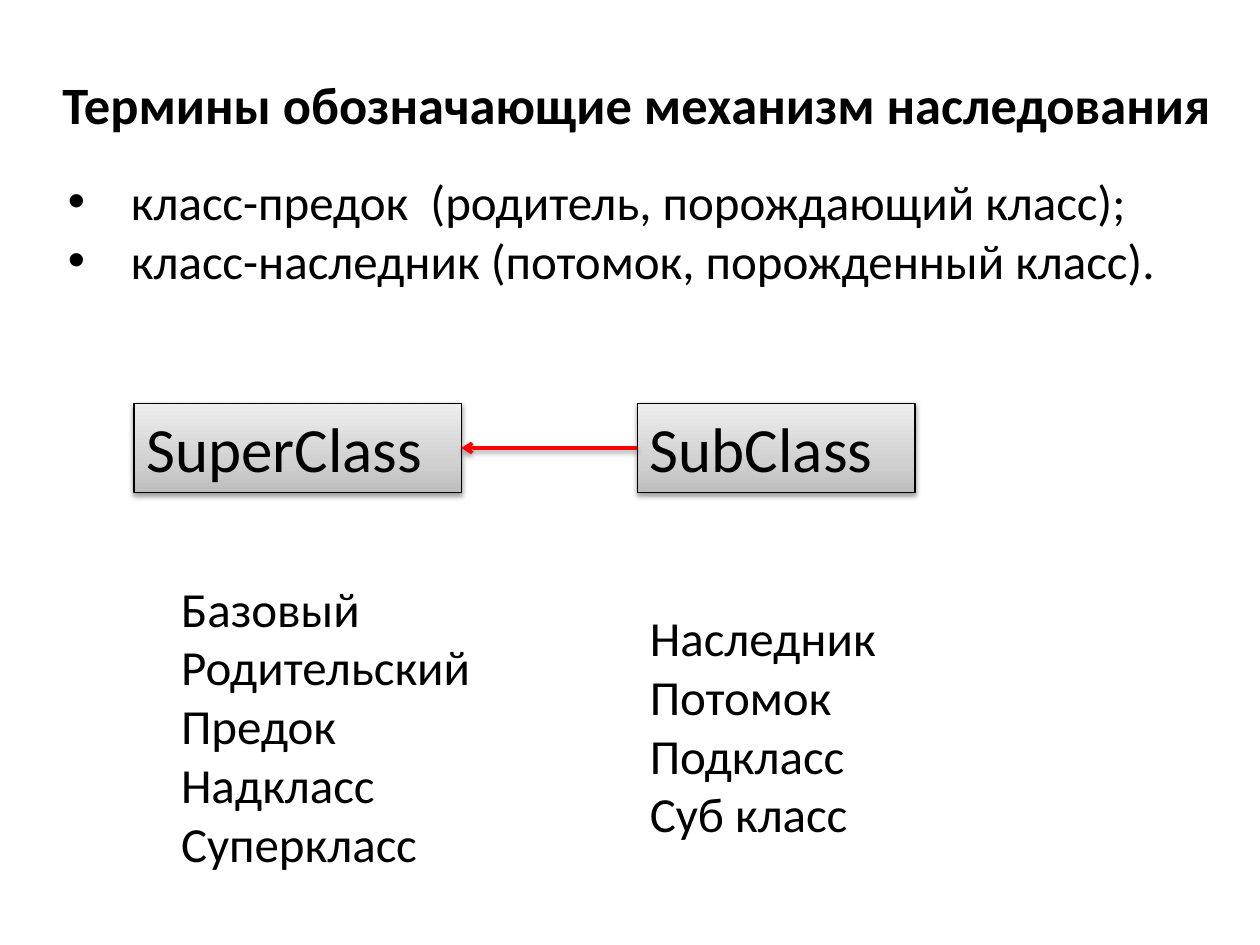
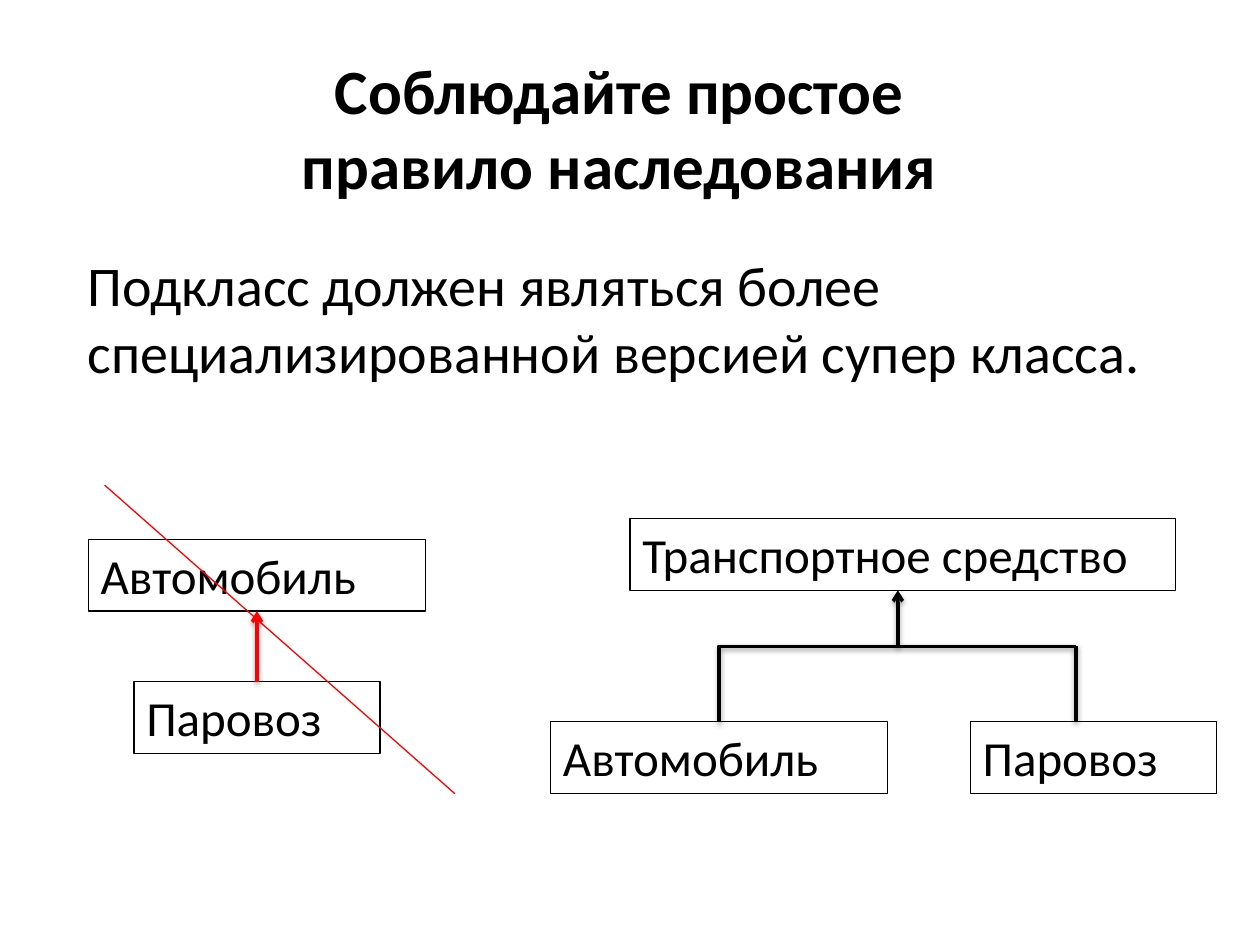
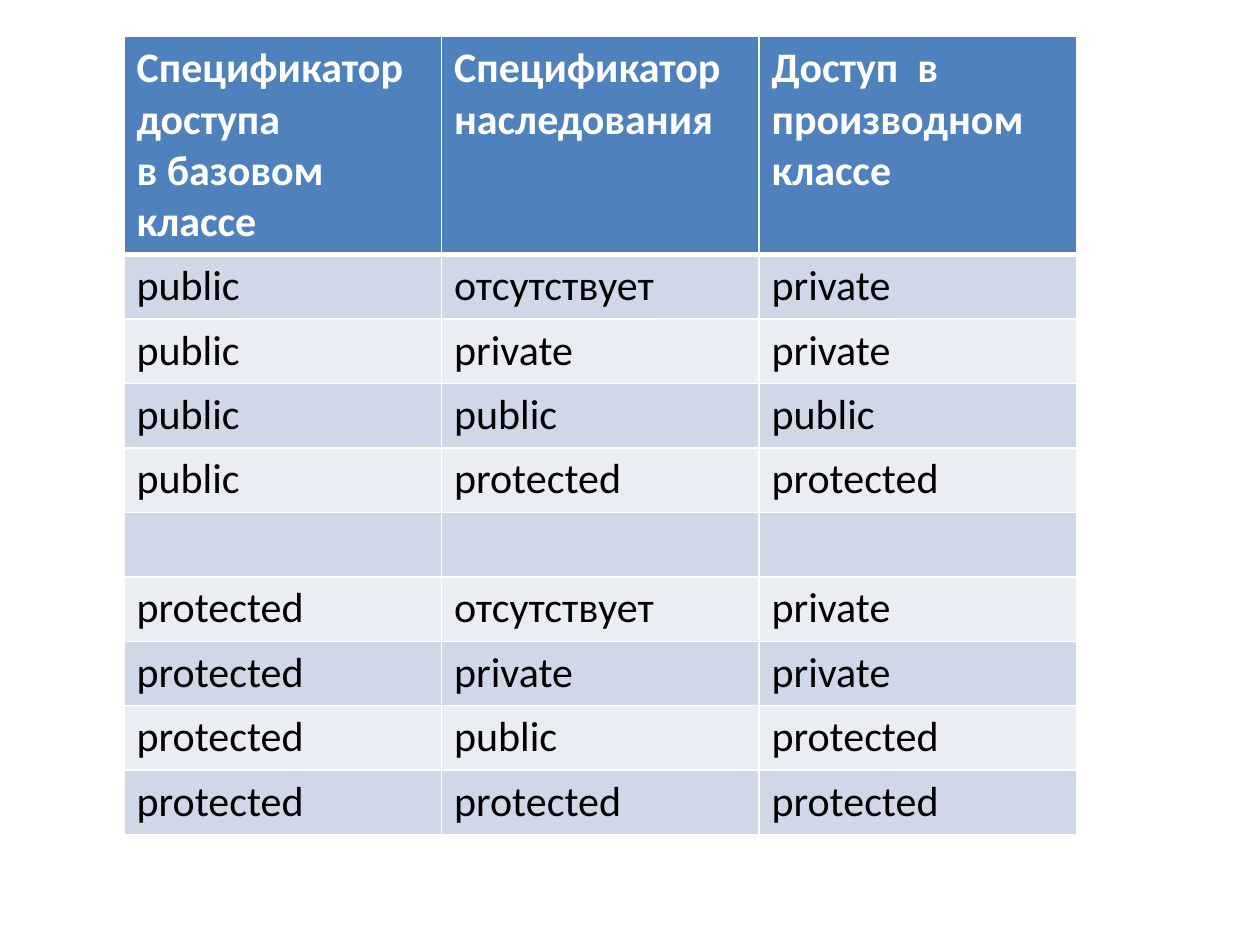
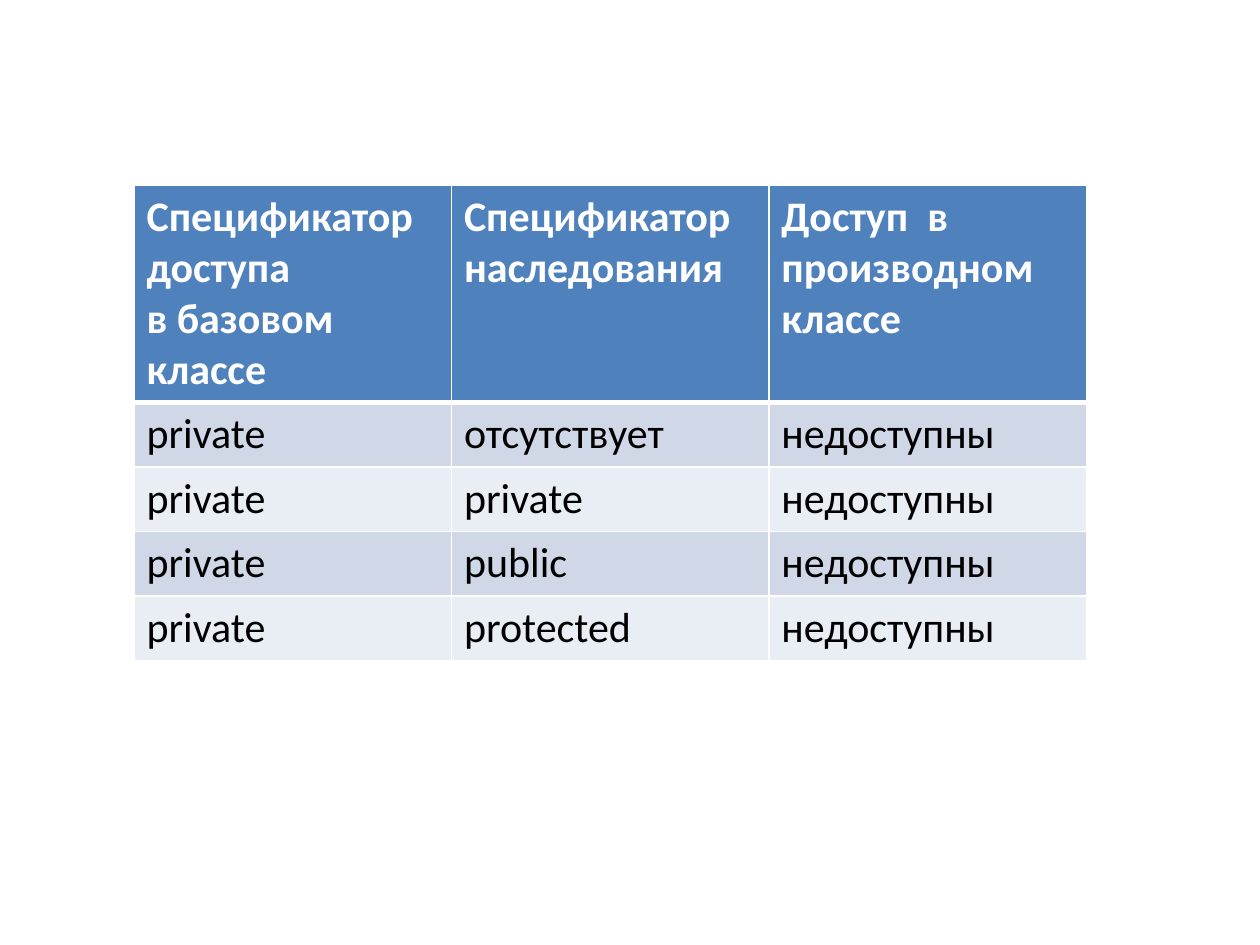
from copy import deepcopy

from lxml import etree
from pptx import Presentation
from pptx.dml.color import RGBColor
from pptx.enum.shapes import MSO_CONNECTOR, MSO_SHAPE
from pptx.enum.text import MSO_ANCHOR, MSO_AUTO_SIZE, PP_ALIGN
from pptx.oxml.ns import qn
from pptx.util import Cm, Pt

RECT = MSO_SHAPE.RECTANGLE
STRAIGHT, ELBOW = MSO_CONNECTOR.STRAIGHT, MSO_CONNECTOR.ELBOW
LEFT, CENTER = PP_ALIGN.LEFT, PP_ALIGN.CENTER
TOP = MSO_ANCHOR.TOP
GROW = MSO_AUTO_SIZE.SHAPE_TO_FIT_TEXT

FONT = "Calibri"
BLACK, WHITE, RED = "000000", "FFFFFF", "FF0000"
HEADER, BANDS = "4F81BD", ("D0D8E8", "E9EDF4")
GREY_STOPS = ((0, "BDBDBD"), (0.35, "D1D1D1"), (1, "EEEEEE"))
TOP_SIDE, LEFT_SIDE, BOTTOM_SIDE, RIGHT_SIDE = range(4)

ACCESS_HEADER = (
    "Спецификатор\nдоступа\nв базовом классе",
    "Спецификатор\nнаследования",
    "Доступ  в\nпроизводном классе",
)
OPEN_ACCESS = (
    ("public", "отсутствует", "private"),
    ("public", "private", "private"),
    ("public", "public", "public"),
    ("public", "protected", "protected"),
    ("", "", ""),
    ("protected", "отсутствует", "private"),
    ("protected", "private", "private"),
    ("protected", "public", "protected"),
    ("protected", "protected", "protected"),
)
CLOSED_ACCESS = [
    ("private", spec, "недоступны")
    for spec in ("отсутствует", "private", "public", "protected")
]


def rgb(color):
    """Turn a hex string into a colour."""
    return RGBColor.from_string(color)


def add_xml(parent, tag, **attrs):
    """Append a child element with the given attributes."""
    return etree.SubElement(parent, qn(tag), {k: str(v) for k, v in attrs.items()})


class Deck:
    """Holds the shared style and the current slide."""

    def __init__(self):
        """Start an empty 4:3 presentation."""
        self.prs = Presentation()
        self.prs.slide_width, self.prs.slide_height = Cm(25.4), Cm(19.05)
        self.s = None

    def slide(self):
        """Start a new blank slide."""
        self.s = self.prs.slides.add_slide(self.prs.slide_layouts[6])

    def format(self, tf, size, color=BLACK, bold=False, align=LEFT):
        """Style every paragraph of a text frame."""
        for p in tf.paragraphs:
            p.alignment = align
            for r in p.runs:
                r.font.name, r.font.size, r.font.bold = FONT, Pt(size), bold
                r.font.color.rgb = rgb(color)

    def fill_frame(self, sp, text, size, **style):
        """Put wrapped, top-anchored text into a shape that grows with it."""
        tf = sp.text_frame
        tf.text = text
        tf.word_wrap, tf.auto_size, tf.vertical_anchor = True, GROW, TOP
        self.format(tf, size, **style)
        return tf

    def text(self, x, y, w, h, text, size=28, **style):
        """Add a text box."""
        sp = self.s.shapes.add_textbox(Cm(x), Cm(y), Cm(w), Cm(h))
        return self.fill_frame(sp, text, size, **style)

    def title(self, x, y, w, h, text, size):
        """Add a bold centred title."""
        self.text(x, y, w, h, text, size, bold=True, align=CENTER)

    def bullets(self, x, y, w, h, text):
        """Add a bulleted list."""
        for p in self.text(x, y, w, h, text).paragraphs:
            pPr = p._p.get_or_add_pPr()
            pPr.set("marL", str(Cm(1.27)))
            pPr.set("indent", str(-Cm(1.27)))
            add_xml(pPr, "a:buFont", typeface="Arial")
            add_xml(pPr, "a:buChar", char="•")

    def shadow(self, spPr):
        """Give an effect list a soft shadow that falls down."""
        effects = spPr.find(qn("a:effectLst"))
        if effects is None:
            effects = add_xml(spPr, "a:effectLst")
        outer = add_xml(effects, "a:outerShdw", blurRad=Pt(3.1), dist=Pt(1.6),
                        dir=5400000, rotWithShape=0)
        add_xml(add_xml(outer, "a:srgbClr", val=BLACK), "a:alpha", val=38000)

    def box(self, x, y, w, h, text, size=28, raised=False):
        """Add an outlined class box, raised ones with gradient and shadow."""
        sp = self.s.shapes.add_shape(RECT, Cm(x), Cm(y), Cm(w), Cm(h))
        sp.shadow.inherit = False
        sp.line.color.rgb, sp.line.width = rgb(BLACK), Pt(0.75)
        if raised:
            sp.fill.gradient()
            sp.fill.gradient_angle = 90
            stops = sp._element.spPr.find(".//" + qn("a:gsLst"))
            stops.insert(1, deepcopy(stops[0]))
            for stop, (position, color) in zip(sp.fill.gradient_stops, GREY_STOPS):
                stop.position, stop.color.rgb = position, rgb(color)
            self.shadow(sp._element.spPr)
        else:
            sp.fill.background()
        self.fill_frame(sp, text, size)
        return sp

    def line(self, x1, y1, x2, y2, color=BLACK, width=2, arrow=False,
             raised=True, kind=STRAIGHT):
        """Add a connector."""
        c = self.s.shapes.add_connector(kind, Cm(x1), Cm(y1), Cm(x2), Cm(y2))
        c.line.color.rgb, c.line.width = rgb(color), Pt(width)
        if arrow:
            add_xml(c.line._get_or_add_ln(), "a:tailEnd", type="arrow")
        spPr = c._element.spPr
        add_xml(spPr, "a:effectLst")
        if raised:
            self.shadow(spPr)
        return c

    def join(self, start, start_side, end, end_side, color):
        """Add an arrow between the side middles of two boxes."""
        c = self.line(0, 0, 1, 1, color, arrow=True)
        c.begin_connect(start, start_side)
        c.end_connect(end, end_side)

    def elbow(self, x1, y1, x2, y2):
        """Add a one-bend connector that goes up and then right."""
        cx, cy = (x1 + x2) / 2, (y1 + y2) / 2
        dx, dy = (y1 - y2) / 2, (x2 - x1) / 2
        c = self.line(cx + dx, cy + dy, cx - dx, cy - dy, kind=ELBOW)
        spPr = c._element.spPr
        spPr.find(qn("a:xfrm")).set("rot", "5400000")
        spPr.find(qn("a:prstGeom")).set("prst", "bentConnector2")

    def borders(self, cell, top, bottom):
        """Draw white borders around a cell."""
        tcPr = cell._tc.get_or_add_tcPr()
        for i, (side, width) in enumerate(zip("LRTB", (1, 1, top, bottom))):
            ln = add_xml(tcPr, f"a:ln{side}", w=Pt(width))
            add_xml(add_xml(ln, "a:solidFill"), "a:srgbClr", val=WHITE)
            tcPr.insert(i, ln)

    def table(self, x, y, rows):
        """Add a banded table under the access header."""
        rows = [ACCESS_HEADER, *rows]
        heights = [4.2] + [1.3] * (len(rows) - 1)
        frame = self.s.shapes.add_table(len(rows), 3, Cm(x), Cm(y),
                                        Cm(19.2), Cm(sum(heights)))
        tbl = frame.table
        for col in tbl.columns:
            col.width = Cm(6.4)
        for i, (row, height) in enumerate(zip(rows, heights)):
            tbl.rows[i].height = Cm(height)
            for j, text in enumerate(row):
                cell = tbl.cell(i, j)
                cell.text = text
                cell.fill.solid()
                cell.fill.fore_color.rgb = rgb(BANDS[(i - 1) % 2] if i else HEADER)
                self.format(cell.text_frame, 24, BLACK if i else WHITE, bold=not i)
                self.borders(cell, 3 if i == 1 else 1, 1 if i else 3)


def terms(d):
    """Build the slide on inheritance terms."""
    d.slide()
    d.title(0.89, 1.32, 23.9, 1.55, "Термины обозначающие механизм наследования", 30)
    base = d.box(2.7, 8.13, 6.6, 1.8, "SuperClass", 36, raised=True)
    sub = d.box(12.85, 8.13, 5.6, 1.8, "SubClass", 36, raised=True)
    d.join(sub, LEFT_SIDE, base, RIGHT_SIDE, RED)
    d.text(3.4, 11.53, 6.8, 6.25,
           "Базовый\nРодительский\nПредок\nНадкласс\nСуперкласс")
    d.text(12.85, 12.12, 8.23, 5.05, "Наследник\nПотомок\nПодкласс\nСуб класс")
    d.bullets(1.12, 3.33, 23.44, 2.64,
              "класс-предок  (родитель, порождающий класс);\n"
              "класс-наследник (потомок, порожденный класс).")


def rule(d):
    """Build the slide on the inheritance rule."""
    d.slide()
    d.text(1.52, 4.93, 23.6, 3, "Подкласс должен являться более "
           "специализированной версией супер класса.", 32)
    d.title(4.09, 0.91, 16.79, 3.33, "Соблюдайте простое правило наследования", 36)

    car = d.box(1.78, 10.87, 6.8, 1.45, "Автомобиль")
    train = d.box(2.7, 13.74, 4.96, 1.45, "Паровоз")
    d.join(train, TOP_SIDE, car, BOTTOM_SIDE, RED)
    d.line(2.11, 9.78, 9.17, 16, RED, 0.75, raised=False)

    child_top, bar = 14.55, 13.03
    d.box(11.1, child_top, 6.8, 1.45, "Автомобиль")
    d.box(19.56, child_top, 4.96, 1.45, "Паровоз")
    d.box(12.7, 10.45, 11, 1.45, "Транспортное средство")
    d.elbow(14.5, child_top, 21.69, bar)
    d.line(21.69, bar, 21.69, child_top)
    d.line(18.1, bar, 18.1, 11.9, arrow=True)


def main():
    """Build and save the deck."""
    d = Deck()
    terms(d)
    rule(d)
    for x, y, rows in ((2.5, 0.74, OPEN_ACCESS), (2.7, 3.73, CLOSED_ACCESS)):
        d.slide()
        d.table(x, y, rows)
    d.prs.save("out.pptx")


if __name__ == "__main__":
    main()
